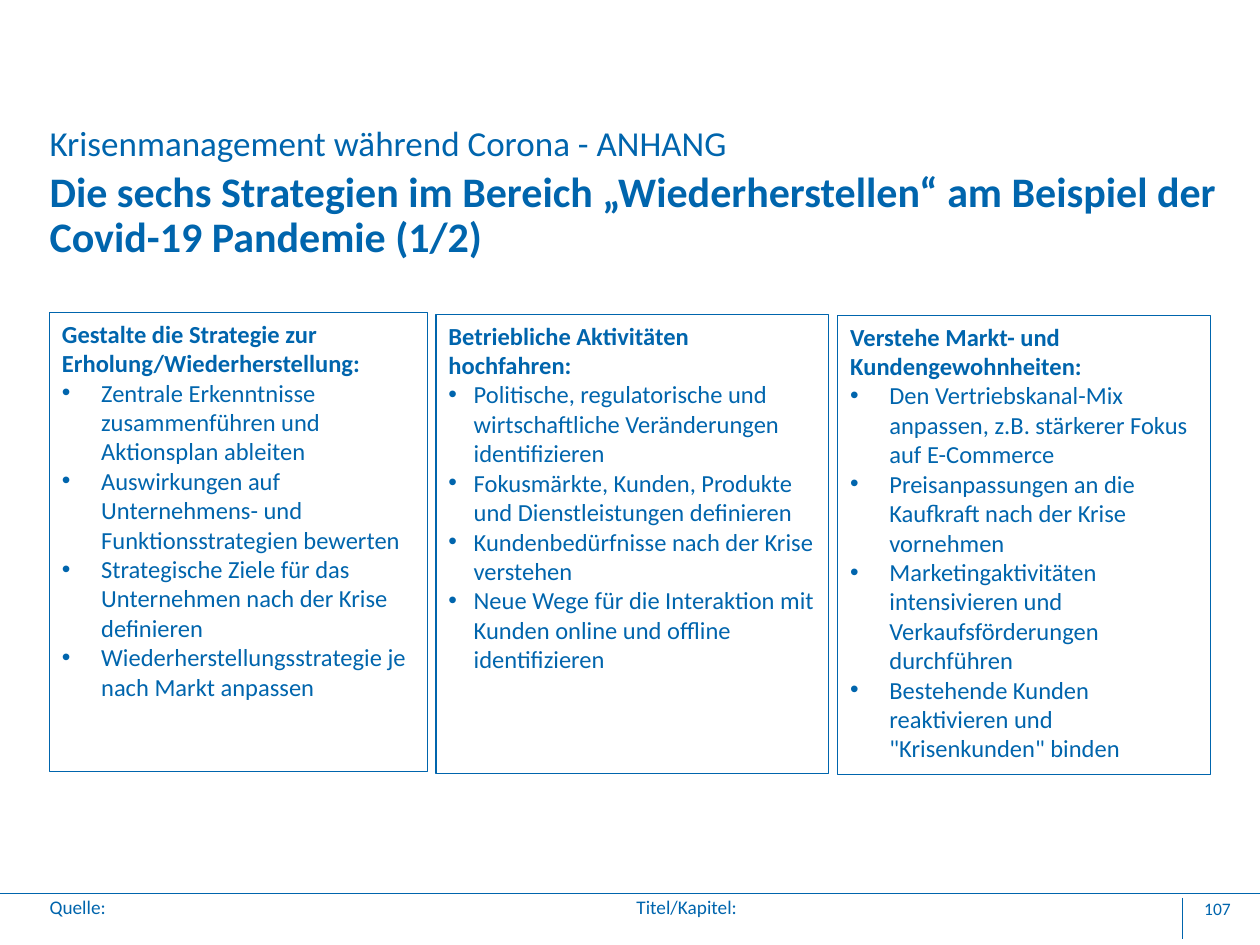
import pptx
import pptx.dml.color
import pptx.enum.shapes
import pptx.enum.text
import pptx.oxml.ns
import pptx.util
import lxml.etree

Cm = pptx.util.Cm
Pt = pptx.util.Pt
qn = pptx.oxml.ns.qn
BLUE = pptx.dml.color.RGBColor(0x00, 0x65, 0xAD)
LEFT = pptx.enum.text.PP_ALIGN.LEFT
RIGHT = pptx.enum.text.PP_ALIGN.RIGHT


def format_font(font, size, bold=False):
    values = {"name": "Calibri", "size": Pt(size), "bold": bold}
    for name, value in values.items():
        setattr(font, name, value)
    font.color.rgb = BLUE


def add_bullet(para, hang):
    properties = para._p.get_or_add_pPr()
    properties.set("marL", str(Cm(hang)))
    properties.set("indent", str(-Cm(hang)))
    lxml.etree.SubElement(properties, qn("a:buFont"), typeface="Arial")
    lxml.etree.SubElement(properties, qn("a:buChar"), char="•")


deck = pptx.Presentation()
deck.slide_width = Cm(25.4)
deck.slide_height = Cm(19.05)
slide = deck.slides.add_slide(deck.slide_layouts[6])

# Footer rules
for x1, y1, x2, y2 in [(0, 18, 25.4, 18), (23.83, 18.1, 23.83, 18.92)]:
    rule = slide.shapes.add_connector(
        pptx.enum.shapes.MSO_CONNECTOR.STRAIGHT, Cm(x1), Cm(y1), Cm(x2), Cm(y2))
    rule.line.color.rgb = BLUE
    rule.line.width = Pt(0.25)
    lxml.etree.SubElement(rule._element.spPr, qn("a:effectLst"))

# Headings, footer labels and page number
labels = [
    ("Krisenmanagement während Corona - ANHANG", 1, 2.54, 23.8, 0.79, 20, False, LEFT, 0.9),
    ("Die sechs Strategien im Bereich „Wiederherstellen“ am Beispiel der "
     "Covid-19 Pandemie (1/2)", 1, 3.45, 23.8, 1.8, 24, True, LEFT, 0.9),
    ("Quelle:", 1, 18.1, 1.17, 0.51, 11, False, LEFT, 0.9),
    ("Titel/Kapitel:", 12.83, 18.1, 2.13, 0.51, 11, False, LEFT, 0.9),
    ("107", 23.95, 18.1, 0.86, 0.51, 10, False, RIGHT, 1.0),
]
for text, left, top, width, height, size, bold, align, spacing in labels:
    box = slide.shapes.add_textbox(Cm(left), Cm(top), Cm(width), Cm(height))
    frame_format = {"word_wrap": True, "margin_left": 0, "margin_right": 0,
                    "margin_top": 0, "margin_bottom": 0}
    for name, value in frame_format.items():
        setattr(box.text_frame, name, value)
    para = box.text_frame.paragraphs[0]
    para.alignment = align
    para.line_spacing = spacing
    span = para.add_run()
    span.text = text
    format_font(span.font, size, bold)

# Strategy columns: left, top, width, bullet indent, heading, points
columns = [
    (1, 6.3, 7.62, 0.79, "Gestalte die Strategie zur Erholung/Wiederherstellung:", [
        "Zentrale Erkenntnisse zusammenführen und Aktionsplan ableiten",
        "Auswirkungen auf Unternehmens- und Funktionsstrategien bewerten",
        "Strategische Ziele für das Unternehmen nach der Krise definieren",
        "Wiederherstellungsstrategie je nach Markt anpassen"]),
    (8.79, 6.34, 7.91, 0.51, "Betriebliche Aktivitäten hochfahren:", [
        "Politische, regulatorische und wirtschaftliche Veränderungen identifizieren",
        "Fokusmärkte, Kunden, Produkte und Dienstleistungen definieren",
        "Kundenbedürfnisse nach der Krise verstehen",
        "Neue Wege für die Interaktion mit Kunden online und offline identifizieren"]),
    (16.89, 6.36, 7.52, 0.79, "Verstehe Markt- und Kundengewohnheiten:", [
        "Den Vertriebskanal-Mix anpassen, z.B. stärkerer Fokus auf E-Commerce",
        "Preisanpassungen an die Kaufkraft nach der Krise vornehmen",
        "Marketingaktivitäten intensivieren und Verkaufsförderungen durchführen",
        'Bestehende Kunden reaktivieren und "Krisenkunden" binden']),
]
for left, top, width, hang, heading, points in columns:
    box = slide.shapes.add_shape(
        pptx.enum.shapes.MSO_SHAPE.RECTANGLE, Cm(left), Cm(top), Cm(width), Cm(9.25))
    box.shadow.inherit = False
    box.fill.background()
    box.line.color.rgb = BLUE
    box.line.width = Pt(0.75)
    frame = box.text_frame
    frame.word_wrap = True
    frame.vertical_anchor = pptx.enum.text.MSO_ANCHOR.TOP
    for index, text in enumerate([heading] + points):
        para = frame.add_paragraph() if index else frame.paragraphs[0]
        para.alignment = LEFT
        if index:
            add_bullet(para, hang)
        span = para.add_run()
        span.text = text
        format_font(span.font, 14, bold=index == 0)

deck.save("out.pptx")
